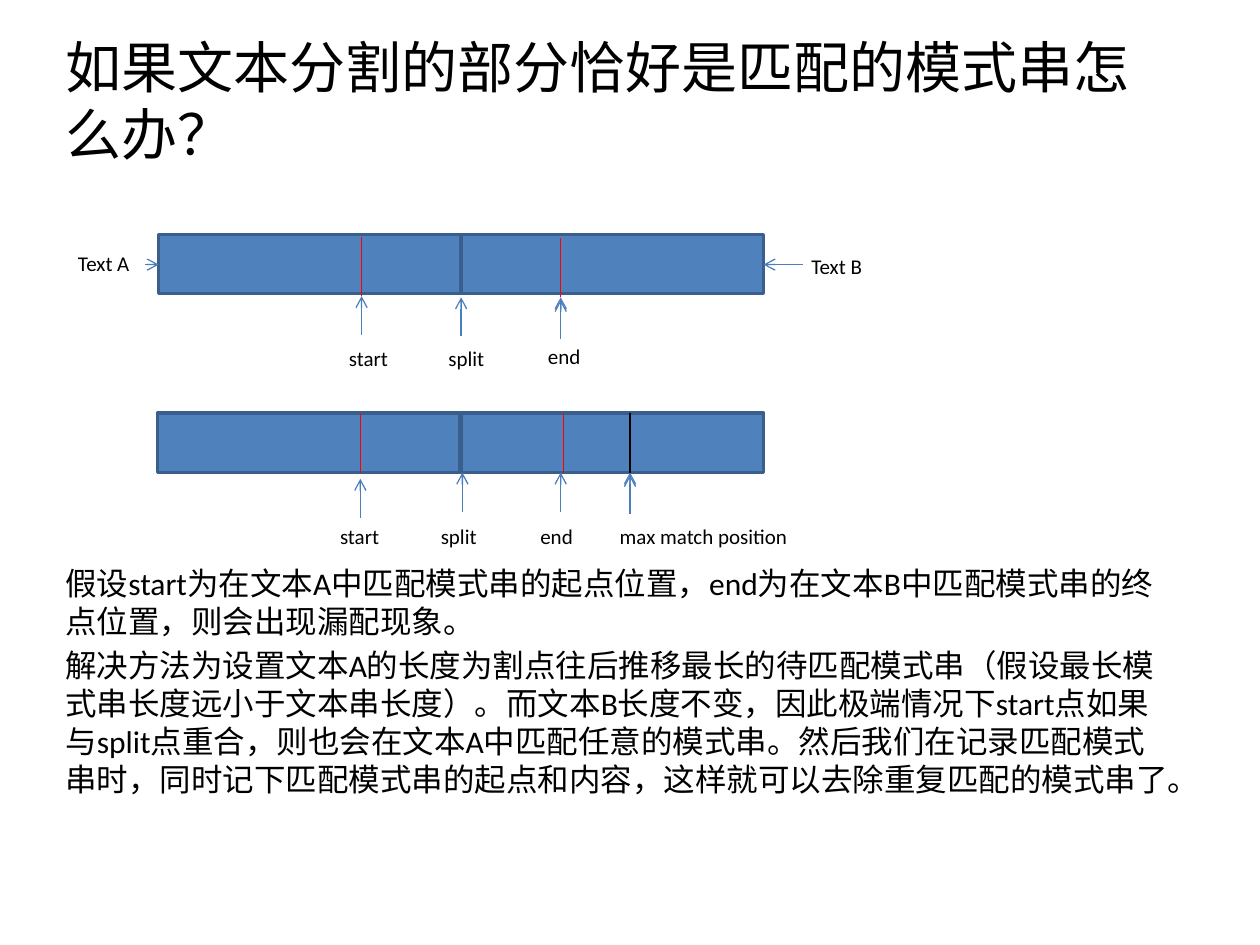
from dataclasses import dataclass
from lxml import etree
from pptx import Presentation
from pptx import util as u
from pptx.dml.color import RGBColor
from pptx.enum import shapes, text
from pptx.oxml.ns import qn

COLORS = {"bar": "4F81BD", "edge": "3A5F8C", "arrow": "4B7EBC",
          "match": "FF0000", "limit": "000000", "text": "000000"}
BAR_W, BAR_H, ARROW_H = 2.4, 0.47, 0.31
FRAME = {"vertical_anchor": text.MSO_ANCHOR.TOP, "auto_size": text.MSO_AUTO_SIZE.NONE,
         "word_wrap": True}
LABEL_FRAME = {**FRAME, "word_wrap": False}

TITLE = "如果文本分割的部分恰好是匹配的模式串怎么办？"
BODY = [
    "假设start为在文本A中匹配模式串的起点位置，end为在文本B中匹配模式串的终点位置，则会出现漏配现象。",
    "解决方法为设置文本A的长度为割点往后推移最长的待匹配模式串（假设最长模式串长度远小于文本串长度）。"
    "而文本B长度不变，因此极端情况下start点如果与split点重合，则也会在文本A中匹配任意的模式串。"
    "然后我们在记录匹配模式串时，同时记下匹配模式串的起点和内容，这样就可以去除重复匹配的模式串了。",
]


@dataclass
class Mark:
    """A labelled position on a bar; each tip is the top of one arrow."""
    name: str
    x: float
    label_x: float
    label_y: float
    label_w: float
    tips: tuple
    rule: str = ""
    rule_x: float = 0
    rule_y: float = 0


@dataclass
class Diagram:
    """Two adjoining bars with their marks."""
    top: float
    lefts: tuple
    marks: list


DIAGRAMS = [
    Diagram(1.86, (3.66, 1.26), [
        Mark("start", 2.87, 2.67, 2.69, 0.52, (2.35,), "match", 2.87, 1.88),
        Mark("split", 3.66, 3.46, 2.69, 0.49, (2.36,)),
        Mark("end", 4.45, 4.25, 2.68, 0.46, (2.36, 2.38), "match", 4.45, 1.89)]),
    Diagram(3.28, (1.25, 3.66), [
        Mark("start", 2.86, 2.6, 4.11, 0.52, (3.8,), "match", 2.86, 3.28),
        Mark("split", 3.67, 3.4, 4.11, 0.49, (3.75,)),
        Mark("end", 4.45, 4.19, 4.11, 0.46, (3.75,), "match", 4.47, 3.28),
        Mark("max match position", 5, 4.82, 4.11, 1.55, (3.75, 3.77), "limit", 5, 3.28)]),
]


def rgb(key: str) -> RGBColor:
    """Look up a named colour."""
    return RGBColor.from_string(COLORS[key])


def write(sp, paragraphs: list, size: float, frame: dict) -> None:
    """Fill a shape with left-aligned text."""
    tf = sp.text_frame
    for name, value in frame.items():
        setattr(tf, name, value)
    for i, words in enumerate(paragraphs):
        p = tf.paragraphs[0] if i == 0 else tf.add_paragraph()
        p.alignment = text.PP_ALIGN.LEFT
        p.space_before = u.Pt(0.2 * size if i else 0)
        r = p.add_run()
        r.text = words
        for name, value in {"size": u.Pt(size), "name": "Calibri"}.items():
            setattr(r.font, name, value)
        r.font.color.rgb = rgb("text")


def add_text(s, box: tuple, paragraphs: list, size: float, frame: dict) -> None:
    """Add a text box at left, top, width, height."""
    write(s.shapes.add_textbox(*map(u.Inches, box)), paragraphs, size, frame)


def add_bar(s, left: float, top: float) -> None:
    """Add one text segment."""
    sp = s.shapes.add_shape(shapes.MSO_SHAPE.RECTANGLE,
                            *map(u.Inches, (left, top, BAR_W, BAR_H)))
    sp.shadow.inherit = False
    sp.fill.solid()
    sp.fill.fore_color.rgb = rgb("bar")
    sp.line.color.rgb = rgb("edge")
    sp.line.width = u.Pt(2)


def add_line(s, ends: tuple, color: str, arrow: bool = False) -> None:
    """Add a thin line, with an open arrowhead at its end on request."""
    sp = s.shapes.add_connector(shapes.MSO_CONNECTOR.STRAIGHT, *map(u.Inches, ends))
    sp.line.color.rgb = rgb(color)
    sp.line.width = u.Pt(0.75)
    if arrow:
        etree.SubElement(sp.line._get_or_add_ln(), qn("a:tailEnd"), type="arrow")
    etree.SubElement(sp._element.spPr, qn("a:effectLst"))


def add_diagram(s, d: Diagram) -> None:
    """Draw bars, rules, arrows and labels."""
    for left in d.lefts:
        add_bar(s, left, d.top)
    for m in d.marks:
        if m.rule:
            add_line(s, (m.rule_x, m.rule_y, m.rule_x, m.rule_y + BAR_H), m.rule)
        for tip in m.tips:
            add_line(s, (m.x, tip + ARROW_H, m.x, tip), "arrow", True)
        add_text(s, (m.label_x, m.label_y, m.label_w, 0.3), [m.name], 12, LABEL_FRAME)


prs = Presentation()
prs.slide_width, prs.slide_height = u.Inches(10), u.Inches(7.5)
s = prs.slides.add_slide(prs.slide_layouts[5])
title = s.shapes.title
for side, value in {"left": 0.42, "top": 0.21, "width": 9, "height": 1.2}.items():
    setattr(title, side, u.Inches(value))
write(title, [TITLE], 32, FRAME)
add_text(s, (0.42, 4.43, 9, 2.19), BODY, 18, FRAME)
for diagram in DIAGRAMS:
    add_diagram(s, diagram)
for name, label_x, label_y, start, end in [("Text A", 0.52, 1.94, 1.15, 1.26),
                                           ("Text B", 6.34, 1.96, 6.37, 6.06)]:
    add_text(s, (label_x, label_y, 0.61, 0.3), [name], 12, LABEL_FRAME)
    add_line(s, (start, 2.1, end, 2.1), "arrow", True)
prs.save("out.pptx")
